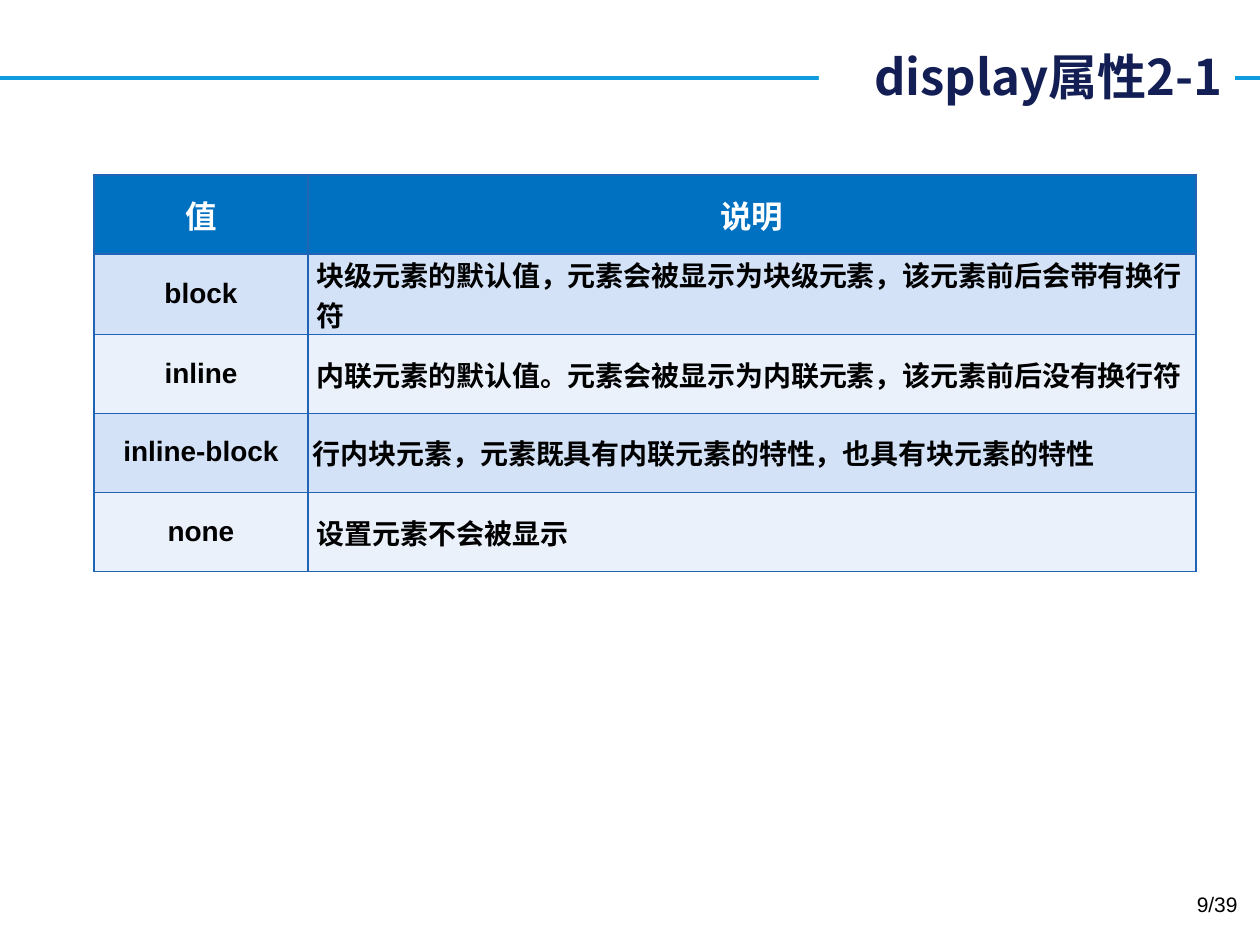
from lxml.etree import SubElement
from pptx import Presentation
from pptx.dml.color import RGBColor
from pptx.enum.shapes import MSO_CONNECTOR, MSO_SHAPE
from pptx.enum.text import MSO_ANCHOR, PP_ALIGN
from pptx.oxml.ns import qn
from pptx.util import Pt

PX = 914400 // 126
WHITE = RGBColor(0xFF, 0xFF, 0xFF)
BLACK = RGBColor(0, 0, 0)
NAVY = RGBColor(0x12, 0x1E, 0x54)
SKY = RGBColor(0x0E, 0x9C, 0xDE)
BLUE = RGBColor(0x00, 0x70, 0xC0)
EDGE = RGBColor(0x21, 0x63, 0xB4)
BANDS = RGBColor(0xD3, 0xE2, 0xF7), RGBColor(0xEA, 0xF1, 0xFB)
CJK = "Noto Sans CJK SC"
COLS = 214, 888
ROWS = 79, 69, 79, 79, 79
DATA = [
    ("值", "说明"),
    ("block", "块级元素的默认值，元素会被显示为块级元素，该元素前后会带有换行符"),
    ("inline", "内联元素的默认值。元素会被显示为内联元素，该元素前后没有换行符"),
    ("inline-block", "行内块元素，元素既具有内联元素的特性，也具有块元素的特性"),
    ("none", "设置元素不会被显示"),
]


def px(*nums):
    """Turn pixels into EMU."""
    return [num * PX for num in nums]


def write(frame, text, size, color, align, bold=True, face="Arial"):
    """Put one styled paragraph in a text frame."""
    frame.word_wrap = True
    par = frame.paragraphs[0]
    par.text = text
    par.alignment = align
    font = par.font
    font.size, font.bold, font.name = Pt(size), bold, face
    font.color.rgb = color
    style = par._p.pPr.find(qn("a:defRPr"))
    SubElement(style, qn("a:ea"), typeface=CJK)


def add_rule(slide):
    """Draw the line across the top."""
    rule = slide.shapes.add_connector(MSO_CONNECTOR.STRAIGHT, *px(0, 78, 1260, 78))
    rule.line.color.rgb = SKY
    rule.line.width = Pt(2.25)
    SubElement(rule._element.spPr, qn("a:effectLst"))


def add_title(slide, text):
    """Add the title on a white box that breaks the line."""
    box = slide.shapes.add_shape(MSO_SHAPE.RECTANGLE, *px(819, 10, 416, 131))
    box.shadow.inherit = False
    box.fill.solid()
    box.fill.fore_color.rgb = WHITE
    box.line.fill.background()
    box.text_frame.vertical_anchor = MSO_ANCHOR.MIDDLE
    write(box.text_frame, text, 28, NAVY, PP_ALIGN.RIGHT, face=CJK)


def add_edges(cell):
    """Draw the four borders of a cell."""
    props = cell._tc.get_or_add_tcPr()
    for side in ("lnL", "lnR", "lnT", "lnB"):
        line = SubElement(props, qn(f"a:{side}"), w=str(Pt(1)))
        fill = SubElement(line, qn("a:solidFill"))
        SubElement(fill, qn("a:srgbClr"), val=str(EDGE))


def fill_cell(cell, text, row, col):
    """Style one cell by its place in the table."""
    head = row == 0
    tight = row == 3
    add_edges(cell)
    cell.fill.solid()
    cell.fill.fore_color.rgb = BLUE if head else BANDS[(row - 1) % 2]
    cell.vertical_anchor = MSO_ANCHOR.MIDDLE
    cell.margin_left = cell.margin_right = (5 if tight else 9) * PX
    cell.margin_top = 0
    cell.margin_bottom = (2 if tight else 0) * PX
    align = PP_ALIGN.CENTER if head or col == 0 else PP_ALIGN.LEFT
    write(cell.text_frame, text, 18 if head else 16, WHITE if head else BLACK, align)


def add_grid(slide):
    """Add the table of values."""
    spot = px(94, 175, sum(COLS), sum(ROWS))
    grid = slide.shapes.add_table(len(ROWS), len(COLS), *spot).table
    for col, width in zip(grid.columns, px(*COLS)):
        col.width = width
    for row, height in zip(grid.rows, px(*ROWS)):
        row.height = height
    for row, texts in enumerate(DATA):
        for col, text in enumerate(texts):
            fill_cell(grid.cell(row, col), text, row, col)


def add_page(slide, text):
    """Add the page number."""
    box = slide.shapes.add_textbox(*px(956, 885, 294, 50))
    write(box.text_frame, text, 12, BLACK, PP_ALIGN.RIGHT, bold=False)


def main():
    """Build and save the slide."""
    deck = Presentation()
    deck.slide_width, deck.slide_height = px(1260, 945)
    slide = deck.slides.add_slide(deck.slide_layouts[6])
    add_rule(slide)
    add_title(slide, "display属性2-1")
    add_grid(slide)
    add_page(slide, "9/39")
    deck.save("out.pptx")


if __name__ == "__main__":
    main()
